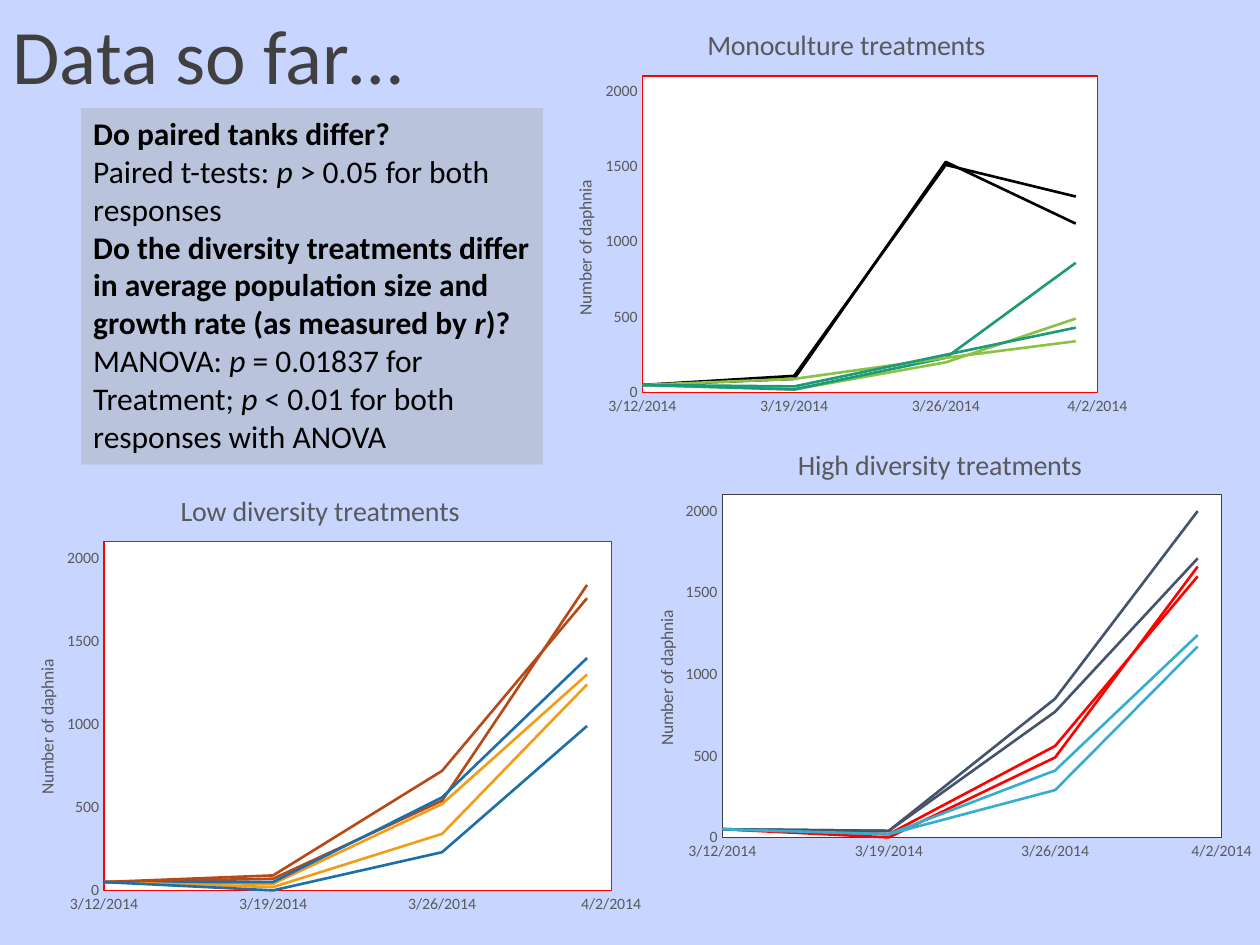
from itertools import cycle

from lxml.etree import SubElement
from pptx import Presentation
from pptx.chart.data import XyChartData
from pptx.dml.color import RGBColor
from pptx.enum.chart import XL_CHART_TYPE as ChartType, XL_TICK_MARK as TickMark
from pptx.enum.shapes import MSO_SHAPE as Shape
from pptx.enum.text import MSO_ANCHOR as Anchor, MSO_AUTO_SIZE as AutoSize, PP_ALIGN as Align
from pptx.oxml import parse_xml
from pptx.oxml.ns import nsdecls, qn
from pptx.util import Cm, Pt

COLORS = {
    "page": "C8D6FF", "title": "404040", "label": "595959", "text": "000000",
    "panel": "A6A6A6", "plot": "FFFFFF", "red": "FF0000", "slate": "44546A",
    "blue": "1D6FA9", "rust": "B74919", "amber": "F19D19", "aqua": "36AFCE",
    "teal": "1D9A78", "lime": "8BC145", "black": "000000",
}
# Serial dates: 12, 19 and 26 March and 1 April 2014
START, WEEK = 41710, 7
DATES = [START, START + WEEK, START + 2 * WEEK, START + 20]

# Each chart: title, place, plot layout, frame colour, repeating colours, series
CHARTS = [
    ("Low diversity treatments", (0, 9.35, 13.11, 9.25), (0.16, 0.17, 0.78, 0.76), "red",
     ["blue", "rust", "amber"],
     [[50, 0, 230, 990], [50, 90, 720, 1760], [50, 20, 340, 1240],
      [50, 50, 560, 1400], [50, 70, 540, 1840], [50, 40, 520, 1300]]),
    ("High diversity treatments", (12.5, 8.43, 12.9, 9.09), (0.16, 0.17, 0.78, 0.76), "title",
     ["aqua", "slate", "red"],
     [[50, 20, 410, 1240], [50, 40, 770, 1710], [50, 20, 560, 1600],
      [50, 20, 290, 1170], [50, 40, 850, 2000], [50, 0, 490, 1660]]),
    ("Monoculture treatments", (10.9, 0, 12.07, 8.51), (0.17, 0.18, 0.76, 0.75), "red",
     ["teal", "lime", "black"],
     [[50, 40, 250, 430], [50, 90, 230, 340], [50, 110, 1510, 1300],
      [50, 20, 230, 860], [50, 20, 200, 490], [50, 90, 1530, 1120]]),
]

# Findings: paragraphs of (text, style), where b is bold and i is italic
FINDINGS = [
    [("Do paired tanks differ?", "b")],
    [("Paired t-tests: ", ""), ("p ", "i"), ("> 0.05 for both responses", "")],
    [("Do the diversity treatments differ in average population size and "
      "growth rate (as measured by ", "b"), ("r", "bi"), (")?", "b")],
    [("MANOVA: ", ""), ("p", "i"), (" = 0.01837 for Treatment; ", ""), ("p", "i"),
     (" < 0.01 for both responses with ANOVA", "")],
]


def rgb(name):
    return RGBColor.from_string(COLORS[name])


def set_layout(parent, position, **fractions):
    """Place a chart part by fractions of the chart's size."""
    old = parent.find(qn("c:layout"))
    if old is not None:
        parent.remove(old)
    layout = parse_xml(f"<c:layout {nsdecls('c')}/>")
    manual = SubElement(layout, qn("c:manualLayout"))
    if "w" in fractions:
        SubElement(manual, qn("c:layoutTarget")).set("val", "inner")
    for mode in ("xMode", "yMode"):
        SubElement(manual, qn(f"c:{mode}")).set("val", "edge")
    for key, value in fractions.items():
        SubElement(manual, qn(f"c:{key}")).set("val", str(value))
    parent.insert(position, layout)


class SlideBuilder:
    font = "Calibri"

    def __init__(self, deck):
        self.page = deck.slides.add_slide(deck.slide_layouts[5])
        fill = self.page.background.fill
        fill.solid()
        fill.fore_color.rgb = rgb("page")

    def style(self, font, size, color, bold=False, italic=False):
        font.name, font.size = self.font, Pt(size)
        font.bold, font.italic = bold, italic
        font.color.rgb = rgb(color)

    def add_span(self, para, text, size, color, style=""):
        span = para.add_run()
        span.text = text
        self.style(span.font, size, color, "b" in style, "i" in style)

    def title(self, text, place):
        box = self.page.shapes.title
        box.left, box.top, box.width, box.height = map(Cm, place)
        box.text_frame.vertical_anchor = Anchor.MIDDLE
        para = box.text_frame.paragraphs[0]
        para.alignment, para.line_spacing = Align.LEFT, 0.9
        self.add_span(para, text, 44, "title")

    def panel(self, paragraphs, place):
        box = self.page.shapes.add_shape(Shape.RECTANGLE, *map(Cm, place))
        box.shadow.inherit = False
        box.line.fill.background()
        box.fill.solid()
        box.fill.fore_color.rgb = rgb("panel")
        color = box.element.spPr.find(qn("a:solidFill"))[0]
        SubElement(color, qn("a:alpha")).set("val", "39000")
        frame = box.text_frame
        frame.word_wrap, frame.auto_size = True, AutoSize.SHAPE_TO_FIT_TEXT
        frame.vertical_anchor = Anchor.TOP
        for number, spans in enumerate(paragraphs):
            para = frame.add_paragraph() if number else frame.paragraphs[0]
            para.alignment = Align.LEFT
            for text, style in spans:
                self.add_span(para, text, 18, "text", style)

    def chart_label(self, title, text, size, x, y):
        self.add_span(title.text_frame.paragraphs[0], text, size, "label")
        set_layout(title.element, 1, x=x, y=y)

    def axis(self, axis, low, high, step, number_format, color):
        axis.minimum_scale, axis.maximum_scale, axis.major_unit = low, high, step
        axis.has_major_gridlines = False
        axis.major_tick_mark = axis.minor_tick_mark = TickMark.NONE
        self.style(axis.tick_labels.font, 9, "label")
        axis.tick_labels.number_format = number_format
        axis.tick_labels.number_format_is_linked = False
        axis.format.line.color.rgb = rgb(color)
        axis.format.line.width = Pt(0.75)

    def line_chart(self, title, place, plot_box, frame_color, colors, rows):
        data = XyChartData()
        for number, values in enumerate(rows, 1):
            series = data.add_series(f"Series {number}")
            for date, value in zip(DATES, values):
                series.add_data_point(date, value)
        chart = self.page.shapes.add_chart(
            ChartType.XY_SCATTER_LINES_NO_MARKERS, *map(Cm, place), data).chart
        chart.has_legend = False
        self.style(chart.font, 10, "text")
        chart.plots[0].vary_by_categories = False
        for series, color in zip(chart.plots[0].series, cycle(colors)):
            series.smooth = False
            series.format.line.color.rgb = rgb(color)
            series.format.line.width = Pt(1.5)

        # Axes and titles
        self.axis(chart.category_axis, START, START + 3 * WEEK, WEEK, "m/d/yyyy", frame_color)
        self.axis(chart.value_axis, 0, 2100, 500, "General", frame_color)
        chart.has_title = True
        self.chart_label(chart.chart_title, title, 16, 0.27, 0.05)
        self.chart_label(chart.value_axis.axis_title, "Number of daphnia", 10, 0.05, 0.42)

        # White framed plot on a clear chart background
        root = chart.element.find(qn("c:chart"))
        plot = root.find(qn("c:plotArea"))
        set_layout(plot, 0, **dict(zip("xywh", plot_box)))
        plot.append(parse_xml(
            f"<c:spPr {nsdecls('c', 'a')}>"
            f'<a:solidFill><a:srgbClr val="{COLORS["plot"]}"/></a:solidFill>'
            f'<a:ln w="{Pt(0.75)}"><a:solidFill><a:srgbClr val="{COLORS[frame_color]}"/>'
            "</a:solidFill></a:ln></c:spPr>"))
        root.addnext(parse_xml(
            f"<c:spPr {nsdecls('c', 'a')}><a:noFill/><a:ln><a:noFill/></a:ln></c:spPr>"))


def main():
    deck = Presentation()
    deck.slide_width, deck.slide_height = Cm(25.4), Cm(19.05)
    builder = SlideBuilder(deck)
    builder.title("Data so far…", (0, -0.64, 21.89, 3.68))
    for chart in CHARTS:
        builder.line_chart(*chart)
    builder.panel(FINDINGS, (1.63, 2.18, 9.32, 7.19))
    deck.save("out.pptx")


if __name__ == "__main__":
    main()
